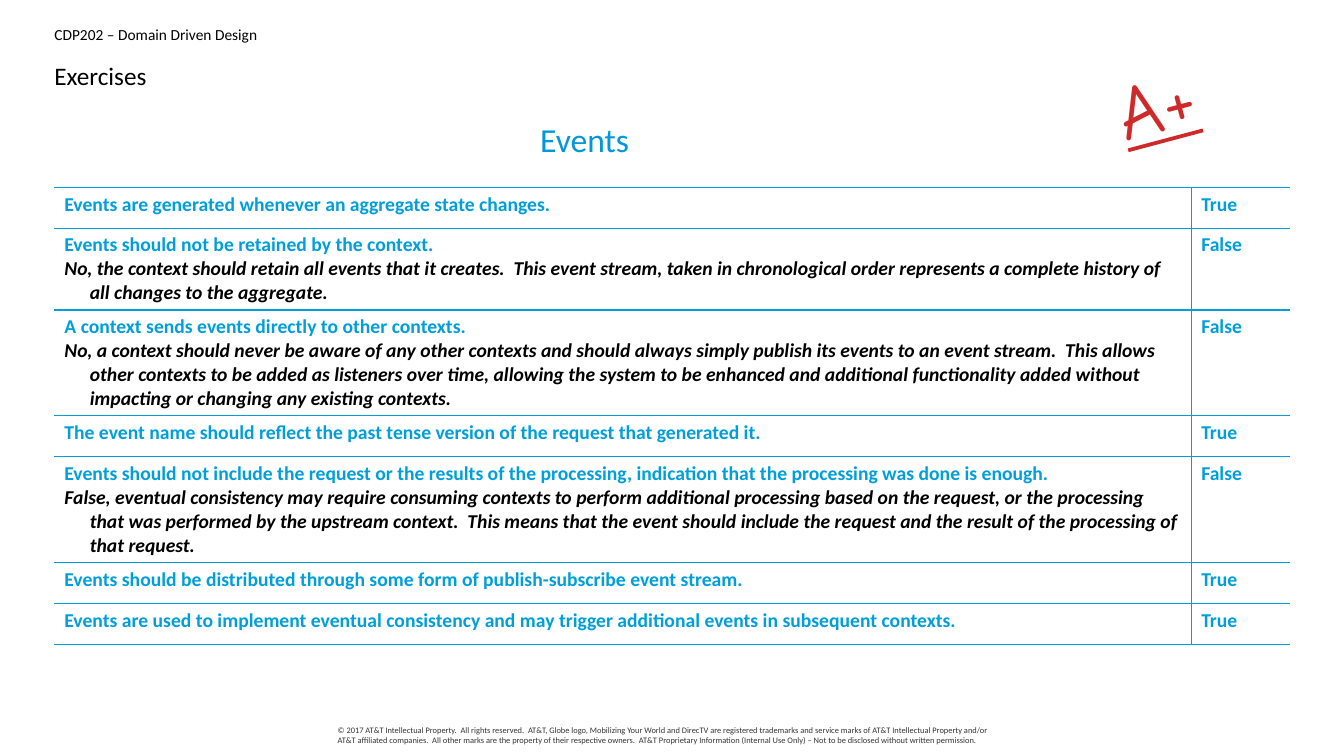
"""Builds the answer slide on events for the Domain Driven Design course."""
from collections import namedtuple

from lxml.etree import SubElement
from pptx import Presentation
from pptx.dml.color import RGBColor
from pptx.enum.text import MSO_ANCHOR, PP_ALIGN
from pptx.oxml.ns import qn
from pptx.util import Cm, Pt

COLORS = {
    "black": "000000",
    "blue": "009FDB",
    "heading": "0097DB",
    "grey": "343434",
    "red": "CF2A2A",
}
FONT = "Calibri"
Box = namedtuple("Box", "left top width height")
Statement = namedtuple("Statement", "claim verdict reason row_height", defaults=("", 1.03))

STATEMENTS = [
    Statement("Events are generated whenever an aggregate state changes.", "True"),
    Statement(
        "Events should not be retained by the context.",
        "False",
        "No, the context should retain all events that it creates.  This event stream, taken in "
        "chronological order represents a complete history of all changes to the aggregate.",
        2.06,
    ),
    Statement(
        "A context sends events directly to other contexts.",
        "False",
        "No, a context should never be aware of any other contexts and should always simply "
        "publish its events to an event stream.  This allows other contexts to be added as "
        "listeners over time, allowing the system to be enhanced and additional functionality "
        "added without impacting or changing any existing contexts.",
        2.67,
    ),
    Statement(
        "The event name should reflect the past tense version of the request that generated it.",
        "True",
    ),
    Statement(
        "Events should not include the request or the results of the processing, indication "
        "that the processing was done is enough.",
        "False",
        "False, eventual consistency may require consuming contexts to perform additional "
        "processing based on the request, or the processing that was performed by the upstream "
        "context.  This means that the event should include the request and the result of the "
        "processing of that request.",
        2.67,
    ),
    Statement(
        "Events should be distributed through some form of publish-subscribe event stream.",
        "True",
    ),
    Statement(
        "Events are used to implement eventual consistency and may trigger additional events "
        "in subsequent contexts.",
        "True",
    ),
]
COPYRIGHT = (
    "© 2017 AT&T Intellectual Property.  All rights reserved.  AT&T, Globe logo, Mobilizing "
    "Your World and DirecTV are registered trademarks and service marks of AT&T Intellectual "
    "Property and/or AT&T affiliated companies.  All other marks are the property of their "
    "respective owners.  AT&T Proprietary Information (Internal Use Only) – Not to be "
    "disclosed without written permission."
)


def add_span(para, text, size, color, font=FONT, **styles):
    """Add one formatted run to a paragraph."""
    span = para.add_run()
    span.text = text
    span.font.name = font
    span.font.size = Pt(size)
    span.font.color.rgb = RGBColor.from_string(COLORS[color])
    for name, value in styles.items():
        setattr(span.font, name, value)


def prepare_frame(frame):
    """Make a text frame wrap from its top edge without insets."""
    frame.word_wrap = True
    frame.vertical_anchor = MSO_ANCHOR.TOP
    frame.margin_left = frame.margin_right = frame.margin_top = frame.margin_bottom = 0


def add_label(page, box, text, size, color, **styles):
    """Place a one-paragraph text box and return it."""
    label = page.shapes.add_textbox(*map(Cm, box))
    prepare_frame(label.text_frame)
    add_span(label.text_frame.paragraphs[0], text, size, color, **styles)
    return label


def fill_title(page, box):
    """Move the title placeholder into its box and fill it."""
    title = page.shapes.title
    title.left, title.top, title.width, title.height = map(Cm, box)
    prepare_frame(title.text_frame)
    para = title.text_frame.paragraphs[0]
    para.alignment = PP_ALIGN.LEFT
    para.line_spacing = 1.1
    para.space_after = Pt(10)
    add_span(para, "Exercises", 18, "black")


def add_heading(page, box):
    """Place the centred topic heading."""
    heading = add_label(page, box, "Events", 24, "heading")
    heading.text_frame.margin_top = heading.text_frame.margin_bottom = Cm(0.13)
    heading.text_frame.paragraphs[0].alignment = PP_ALIGN.CENTER


def add_grade(page, box):
    """Place the tilted, underlined grade."""
    grade = add_label(page, box, "A+", 54, "red", font="Comic Neue", underline=True)
    grade.rotation = 345.1


def style_cell(cell, sides):
    """Clear the fill of a cell and rule only the given sides."""
    properties = cell._tc.get_or_add_tcPr()
    for side in "LRTB":
        line = SubElement(properties, qn(f"a:ln{side}"), w=str(Pt(1)))
        if side in sides:
            paint = SubElement(line, qn("a:solidFill"))
            SubElement(paint, qn("a:srgbClr"), val=COLORS["blue"])
        else:
            SubElement(line, qn("a:noFill"))
    cell.fill.background()


def add_reason(frame, reason):
    """Add the explanation as a paragraph with a hanging indent."""
    para = frame.add_paragraph()
    properties = para._p.get_or_add_pPr()
    properties.set("marL", str(Cm(0.64)))
    properties.set("indent", str(-Cm(0.64)))
    add_span(para, reason, 14, "black", bold=True, italic=True)


def add_answers(page, box):
    """Place the table of statements and verdicts."""
    verdict_width = 2.49
    table = page.shapes.add_table(len(STATEMENTS), 2, *map(Cm, box)).table
    table.first_row = table.horz_banding = False
    table.columns[0].width = Cm(box.width - verdict_width)
    table.columns[1].width = Cm(verdict_width)
    for row, statement in zip(table.rows, STATEMENTS):
        row.height = Cm(statement.row_height)
        for cell, text, sides in zip(row.cells, statement[:2], ("RTB", "LTB")):
            style_cell(cell, sides)
            add_span(cell.text_frame.paragraphs[0], text, 14, "blue", bold=True)
        if statement.reason:
            add_reason(row.cells[0].text_frame, statement.reason)


def main():
    """Build and save the deck."""
    deck = Presentation()
    deck.slide_width, deck.slide_height = Cm(33.87), Cm(19.05)
    page = deck.slides.add_slide(deck.slide_layouts[5])
    left, width = 1.37, 31.14
    add_label(page, Box(left, 0.64, width, 0.51), "CDP202 – Domain Driven Design", 11, "black")
    add_label(page, Box(8.51, 18.26, 16.87, 0.61), COPYRIGHT, 6, "grey")
    fill_title(page, Box(left, 1.45, width, 0.94))
    add_answers(page, Box(left, 4.72, width, 11.4))
    add_heading(page, Box(5.16, 2.87, 19.15, 1.27))
    add_grade(page, Box(28.12, 1.27, 3.2, 2.26))
    deck.save("out.pptx")


if __name__ == "__main__":
    main()
